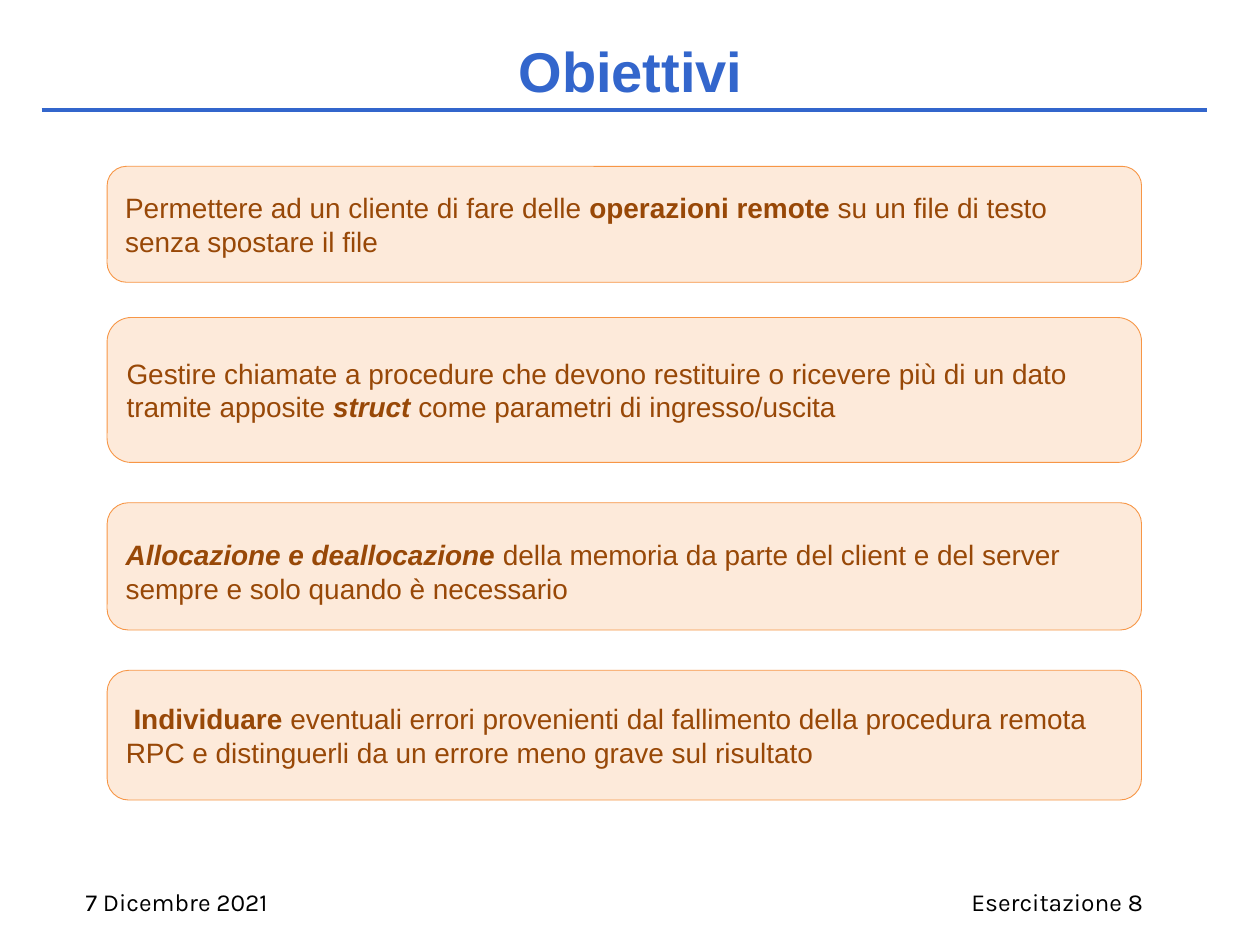
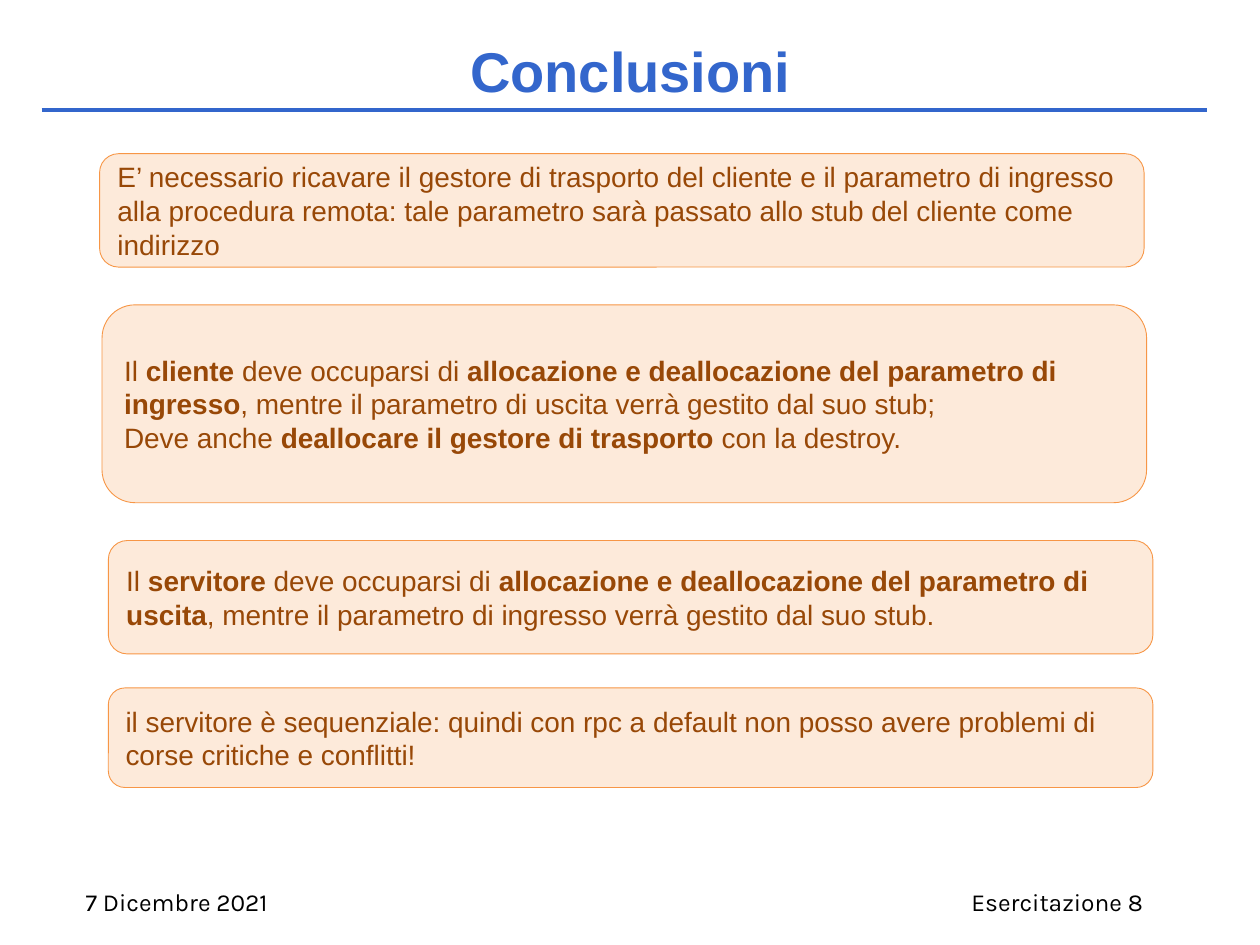
from dataclasses import dataclass

from lxml import etree
from pptx import Presentation, util as u
from pptx.dml.color import RGBColor
from pptx.enum import shapes, text
from pptx.oxml.ns import qn

COLORS = {
    "title": "3366CC",
    "card": "FDEADA",
    "border": "F79646",
    "body": "984807",
    "footer": "000000",
}


@dataclass(frozen=True)
class Span:
    text: str
    bold: bool = False
    italic: bool = False


@dataclass(frozen=True)
class Card:
    left: float
    top: float
    width: float
    height: float
    paragraphs: list[list[Span]]
    top_inset: float = 0.05


@dataclass(frozen=True)
class Footer:
    left: float
    width: float
    text: str


@dataclass(frozen=True)
class Page:
    title: str
    cards: list[Card]


FOOTERS = [
    Footer(0.68, 2.49, "7 Dicembre 2021"),
    Footer(7.71, 1.95, "Esercitazione 8"),
]

PAGES = [
    Page("Obiettivi", [
        Card(0.85, 1.32, 8.21, 0.92, [[
            Span("Permettere ad un cliente di fare delle "),
            Span("operazioni remote ", bold=True),
            Span("su un file di testo senza spostare il file"),
        ]]),
        Card(0.85, 2.52, 8.21, 1.15, [[
            Span("Gestire chiamate a procedure che devono restituire o ricevere "
                 "più di un dato tramite apposite "),
            Span("struct", bold=True, italic=True),
            Span(" come parametri di ingresso/uscita"),
        ]]),
        Card(0.85, 3.99, 8.21, 1.01, [[
            Span("Allocazione e deallocazione ", bold=True, italic=True),
            Span("della memoria da parte del client e del server "
                 "sempre e solo quando è necessario"),
        ]], top_inset=0.13),
        Card(0.85, 5.32, 8.21, 1.03, [[
            Span(" Individuare ", bold=True),
            Span("eventuali errori provenienti dal fallimento della procedura remota "
                 "RPC e distinguerli da un errore meno grave sul risultato"),
        ]]),
    ]),
    Page("Conclusioni", [
        Card(0.79, 1.22, 8.29, 0.9, [[
            Span("E’ necessario ricavare il gestore di trasporto del cliente e il "
                 "parametro di ingresso alla procedura remota: tale parametro sarà "
                 "passato allo stub del cliente come indirizzo"),
        ]]),
        Card(0.81, 2.42, 8.29, 1.57, [
            [
                Span("Il "),
                Span("cliente", bold=True),
                Span(" deve occuparsi di "),
                Span("allocazione e deallocazione del parametro di ingresso", bold=True),
                Span(", mentre il parametro di uscita verrà gestito dal suo stub;"),
            ],
            [
                Span("Deve anche "),
                Span("deallocare il gestore di trasporto ", bold=True),
                Span("con la destroy."),
            ],
        ]),
        Card(0.86, 4.29, 8.29, 0.9, [[
            Span("Il "),
            Span("servitore", bold=True),
            Span(" deve occuparsi di "),
            Span("allocazione e deallocazione del parametro di uscita", bold=True),
            Span(", mentre il parametro di ingresso verrà gestito dal suo stub."),
        ]]),
        Card(0.86, 5.46, 8.29, 0.79, [[
            Span("il servitore è sequenziale: quindi con rpc a default non posso avere "
                 "problemi di corse critiche e conflitti!"),
        ]]),
    ]),
]


def rgb(name: str) -> RGBColor:
    return RGBColor.from_string(COLORS[name])


def write(sp, paragraphs: list[list[Span]], *, size: float, color: str,
          font: str = "Arial", align=text.PP_ALIGN.LEFT,
          anchor=text.MSO_ANCHOR.TOP, insets=(0, 0, 0, 0),
          space_before: float = 0) -> None:
    tf = sp.text_frame
    tf.word_wrap = True
    tf.vertical_anchor = anchor
    tf.margin_left, tf.margin_top, tf.margin_right, tf.margin_bottom = map(u.Inches, insets)
    for i, spans in enumerate(paragraphs):
        p = tf.add_paragraph() if i else tf.paragraphs[0]
        p.alignment = align
        p.space_before = u.Pt(space_before)
        for span in spans:
            r = p.add_run()
            r.text = span.text
            r.font.name = font
            r.font.size = u.Pt(size)
            r.font.bold = span.bold
            r.font.italic = span.italic
            r.font.color.rgb = rgb(color)


def add_title(s, title: str) -> None:
    sp = s.shapes.add_textbox(u.Inches(0.77), u.Inches(0.28), u.Inches(8.47), u.Inches(0.55))
    write(sp, [[Span(title, bold=True)]], size=32, color="title",
          align=text.PP_ALIGN.CENTER, insets=(0, 0.01, 0, 0), space_before=1.1)
    rule = s.shapes.add_connector(shapes.MSO_CONNECTOR.STRAIGHT, u.Inches(0.33),
                                  u.Inches(0.87), u.Inches(9.58), u.Inches(0.87))
    rule.line.color.rgb = rgb("title")
    rule.line.width = u.Pt(2.28)
    etree.SubElement(rule._element.spPr, qn("a:effectLst"))


def add_card(s, card: Card) -> None:
    sp = s.shapes.add_shape(shapes.MSO_SHAPE.ROUNDED_RECTANGLE, u.Inches(card.left),
                            u.Inches(card.top), u.Inches(card.width), u.Inches(card.height))
    sp.shadow.inherit = False
    sp.fill.solid()
    sp.fill.fore_color.rgb = rgb("card")
    sp.line.color.rgb = rgb("border")
    sp.line.width = u.Pt(0.5)
    write(sp, card.paragraphs, size=16, color="body", anchor=text.MSO_ANCHOR.MIDDLE,
          insets=(0.1, card.top_inset, 0.1, 0.05))


def add_footer(s, footer: Footer) -> None:
    sp = s.shapes.add_textbox(u.Inches(footer.left), u.Inches(7.04),
                              u.Inches(footer.width), u.Inches(0.24))
    write(sp, [[Span(footer.text)]], size=14, color="footer", font="Karla", space_before=1.1)


def main() -> None:
    prs = Presentation()
    prs.slide_width, prs.slide_height = u.Inches(10), u.Inches(7.5)
    for page in PAGES:
        s = prs.slides.add_slide(prs.slide_layouts[6])
        add_title(s, page.title)
        for card in page.cards:
            add_card(s, card)
        for footer in FOOTERS:
            add_footer(s, footer)
    prs.save("out.pptx")


if __name__ == "__main__":
    main()
